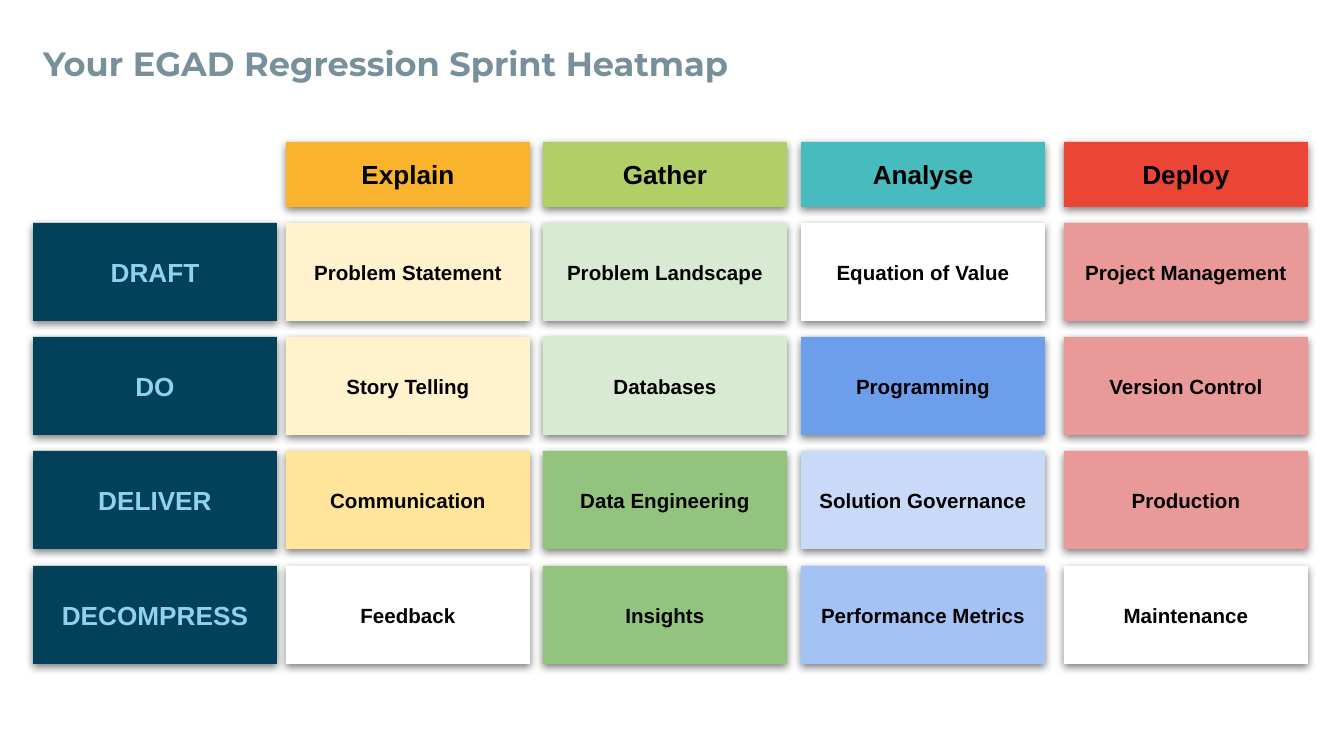
from typing import NamedTuple

from lxml.etree import SubElement
from pptx import Presentation
from pptx.dml.color import RGBColor
from pptx.enum.shapes import MSO_SHAPE as Shape
from pptx.enum.text import MSO_ANCHOR as Anchor, PP_ALIGN as Align
from pptx.oxml.ns import qn
from pptx.util import Emu, Pt

# Scale: 134.4 px to the inch
EMU_PER_PX = 914400 / 134.4

BLACK = RGBColor(0x00, 0x00, 0x00)
WHITE = RGBColor(0xFF, 0xFF, 0xFF)
TITLE_GREY = RGBColor(0x78, 0x90, 0x9C)
NAVY = RGBColor(0x03, 0x40, 0x5A)
SKY = RGBColor(0x90, 0xD1, 0xED)
ORANGE = RGBColor(0xF9, 0xB3, 0x2D)
LIME = RGBColor(0xB2, 0xCF, 0x67)
TEAL = RGBColor(0x47, 0xBB, 0xBE)
RED = RGBColor(0xEB, 0x45, 0x36)
CREAM = RGBColor(0xFF, 0xF2, 0xCC)
YELLOW = RGBColor(0xFF, 0xE5, 0x99)
PALE_GREEN = RGBColor(0xD9, 0xEA, 0xD3)
GREEN = RGBColor(0x93, 0xC4, 0x7D)
PALE_BLUE = RGBColor(0xC9, 0xDA, 0xF8)
LIGHT_BLUE = RGBColor(0xA4, 0xC2, 0xF4)
BLUE = RGBColor(0x6D, 0x9E, 0xEB)
PINK = RGBColor(0xEA, 0x99, 0x99)

CARD_WIDTH, HEADER_HEIGHT, CARD_HEIGHT = 244, 65, 98
HEADER_TOP, FIRST_ROW_TOP, LAST_ROW_TOP = 142, 223, 566
STAGE_LEFT = 33
INSET = 10


class Card(NamedTuple):
    text: str
    fill: RGBColor


class Column(NamedTuple):
    left: int
    header: Card
    skills: tuple[Card, ...]


STAGES = ("DRAFT", "DO", "DELIVER", "DECOMPRESS")
COLUMNS = (
    Column(286, Card("Explain", ORANGE), (
        Card("Problem Statement", CREAM), Card("Story Telling", CREAM),
        Card("Communication", YELLOW), Card("Feedback", WHITE))),
    Column(543, Card("Gather", LIME), (
        Card("Problem Landscape", PALE_GREEN), Card("Databases", PALE_GREEN),
        Card("Data Engineering", GREEN), Card("Insights", GREEN))),
    Column(801, Card("Analyse", TEAL), (
        Card("Equation of Value", WHITE), Card("Programming", BLUE),
        Card("Solution Governance", PALE_BLUE), Card("Performance Metrics", LIGHT_BLUE))),
    Column(1064, Card("Deploy", RED), (
        Card("Project Management", PINK), Card("Version Control", PINK),
        Card("Production", PINK), Card("Maintenance", WHITE))),
)


def px(length: int) -> Emu:
    return Emu(round(length * EMU_PER_PX))


def row_top(row: int) -> int:
    return FIRST_ROW_TOP + (LAST_ROW_TOP - FIRST_ROW_TOP) * row // (len(STAGES) - 1)


def write_text(shape, text: str, font_name: str, size: int, color: RGBColor, align) -> None:
    frame = shape.text_frame
    frame.word_wrap = True
    frame.vertical_anchor = Anchor.MIDDLE
    frame.margin_left = frame.margin_right = px(INSET)
    frame.margin_top = frame.margin_bottom = px(INSET)
    paragraph = frame.paragraphs[0]
    paragraph.alignment = align
    run = paragraph.add_run()
    run.text = text
    run.font.name = font_name
    run.font.size = Pt(size)
    run.font.bold = True
    run.font.color.rgb = color


def add_shadow(shape) -> None:
    """Soft black shadow falling straight down at half opacity."""
    shape.shadow.inherit = False
    effects = shape._element.spPr.find(qn("a:effectLst"))
    shadow = SubElement(effects, qn("a:outerShdw"), blurRad=str(Pt(4.5)), dist=str(Pt(1.5)),
                        dir="5400000", algn="bl", rotWithShape="0")
    color = SubElement(shadow, qn("a:srgbClr"), val=str(BLACK))
    SubElement(color, qn("a:alpha"), val="50000")


def add_card(slide, card: Card, left: int, top: int, height: int,
             size: int, color: RGBColor = BLACK) -> None:
    shape = slide.shapes.add_shape(
        Shape.RECTANGLE, px(left), px(top), px(CARD_WIDTH), px(height))
    shape.fill.solid()
    shape.fill.fore_color.rgb = card.fill
    shape.line.fill.background()
    add_shadow(shape)
    write_text(shape, card.text, "Arial", size, color, Align.CENTER)


def main() -> None:
    presentation = Presentation()
    presentation.slide_width, presentation.slide_height = px(1344), px(756)
    slide = presentation.slides.add_slide(presentation.slide_layouts[5])

    # Title
    title = slide.shapes.title
    title.left, title.top, title.width, title.height = px(33), px(18), px(1276), px(90)
    write_text(title, "Your EGAD Regression Sprint Heatmap",
               "Montserrat", 18, TITLE_GREY, Align.LEFT)

    # Column headers and skills
    for column in COLUMNS:
        add_card(slide, column.header, column.left, HEADER_TOP, HEADER_HEIGHT, 14)
        for row, skill in enumerate(column.skills):
            add_card(slide, skill, column.left, row_top(row), CARD_HEIGHT, 11)

    # Stage labels
    for row, stage in enumerate(STAGES):
        add_card(slide, Card(stage, NAVY), STAGE_LEFT, row_top(row), CARD_HEIGHT, 14, SKY)

    presentation.save("out.pptx")


if __name__ == "__main__":
    main()
